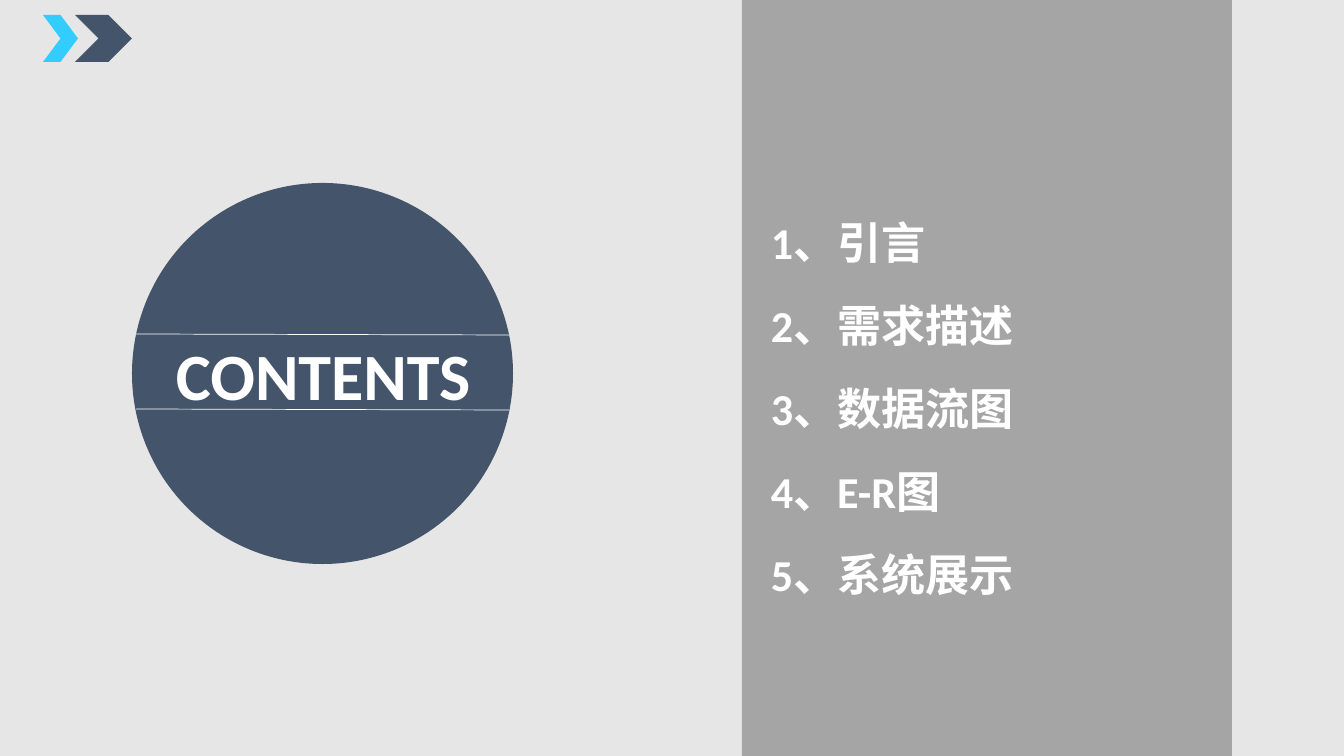
import pptx
import pptx.dml.color
import pptx.enum.shapes
import pptx.enum.text
import pptx.oxml.ns
import pptx.oxml.xmlchemy
import pptx.util

RGBColor = pptx.dml.color.RGBColor
PRESET = pptx.enum.shapes.MSO_SHAPE

MIST = RGBColor(0xE7, 0xE6, 0xE6)
SLATE = RGBColor(0x44, 0x54, 0x6A)
SKY = RGBColor(0x33, 0xCC, 0xFF)
BLACK = RGBColor(0x00, 0x00, 0x00)
WHITE = RGBColor(0xFF, 0xFF, 0xFF)

TOPICS = ["引言", "需求描述", "数据流图", "E-R图", "系统展示"]


def px(length):
    return pptx.util.Emu(round(length * 914400 / 100.8))


class Painter:
    """Draws styled elements on one page, with lengths in px."""

    font_name = "Calibri"

    def __init__(self, page):
        self.page = page
        self.page.background.fill.solid()
        self.page.background.fill.fore_color.rgb = MIST

    def shape(self, preset, left, top, width, height, color, opacity=100):
        shape = self.page.shapes.add_shape(
            preset, px(left), px(top), px(width), px(height))
        shape.shadow.inherit = False
        shape.fill.solid()
        shape.fill.fore_color.rgb = color
        shape.line.fill.background()
        if opacity < 100:
            fill = shape._element.spPr.find(pptx.oxml.ns.qn("a:solidFill"))
            alpha = pptx.oxml.xmlchemy.OxmlElement("a:alpha")
            alpha.set("val", str(opacity * 1000))
            fill[0].append(alpha)
        return shape

    def text(self, left, top, width, height, words, size, color=None):
        box = self.page.shapes.add_textbox(
            px(left), px(top), px(width), px(height))
        if color is not None:
            box.fill.solid()
            box.fill.fore_color.rgb = color
        frame = box.text_frame
        frame.word_wrap = True
        frame.auto_size = pptx.enum.text.MSO_AUTO_SIZE.SHAPE_TO_FIT_TEXT
        para = frame.paragraphs[0]
        para.text = words
        para.font.name = self.font_name
        para.font.size = pptx.util.Pt(size)
        para.font.bold = True
        para.font.color.rgb = WHITE
        return box

    def line(self, start_x, start_y, end_x, end_y, weight):
        line = self.page.shapes.add_connector(
            pptx.enum.shapes.MSO_CONNECTOR.STRAIGHT,
            px(start_x), px(start_y), px(end_x), px(end_y))
        line.line.color.rgb = WHITE
        line.line.width = pptx.util.Pt(weight)
        line._element.spPr.append(
            pptx.oxml.xmlchemy.OxmlElement("a:effectLst"))
        return line


def main():
    deck = pptx.Presentation()
    deck.slide_width = px(1344)
    deck.slide_height = px(756)
    painter = Painter(deck.slides.add_slide(deck.slide_layouts[6]))

    painter.shape(PRESET.OVAL, 132, 183, 381, 381, SLATE)
    painter.text(166, 329, 341, 91, "CONTENTS", 47.2, SLATE)
    for rule_top in (334, 409):
        painter.line(136, rule_top, 509, rule_top + 1, 0.5)

    painter.shape(PRESET.RECTANGLE, 742, 0, 490, 756, BLACK, opacity=28)
    for index, topic in enumerate(TOPICS):
        painter.text(761, 210 + 83 * index, 453, 64,
                     f"{index + 1}、{topic}", 31.5)

    for left, width, color in ((43, 35, SKY), (75, 57, SLATE)):
        painter.shape(PRESET.CHEVRON, left, 15, width, 47, color)

    deck.save("out.pptx")


if __name__ == "__main__":
    main()
